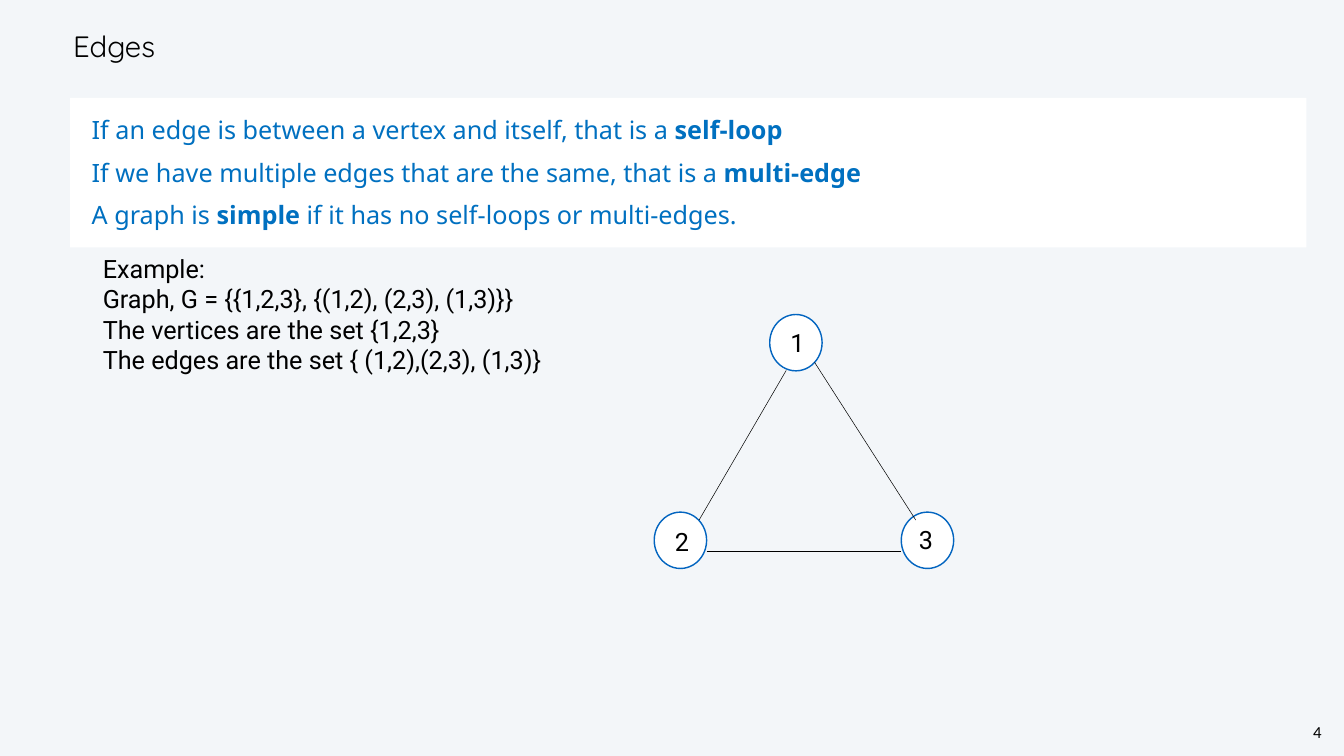
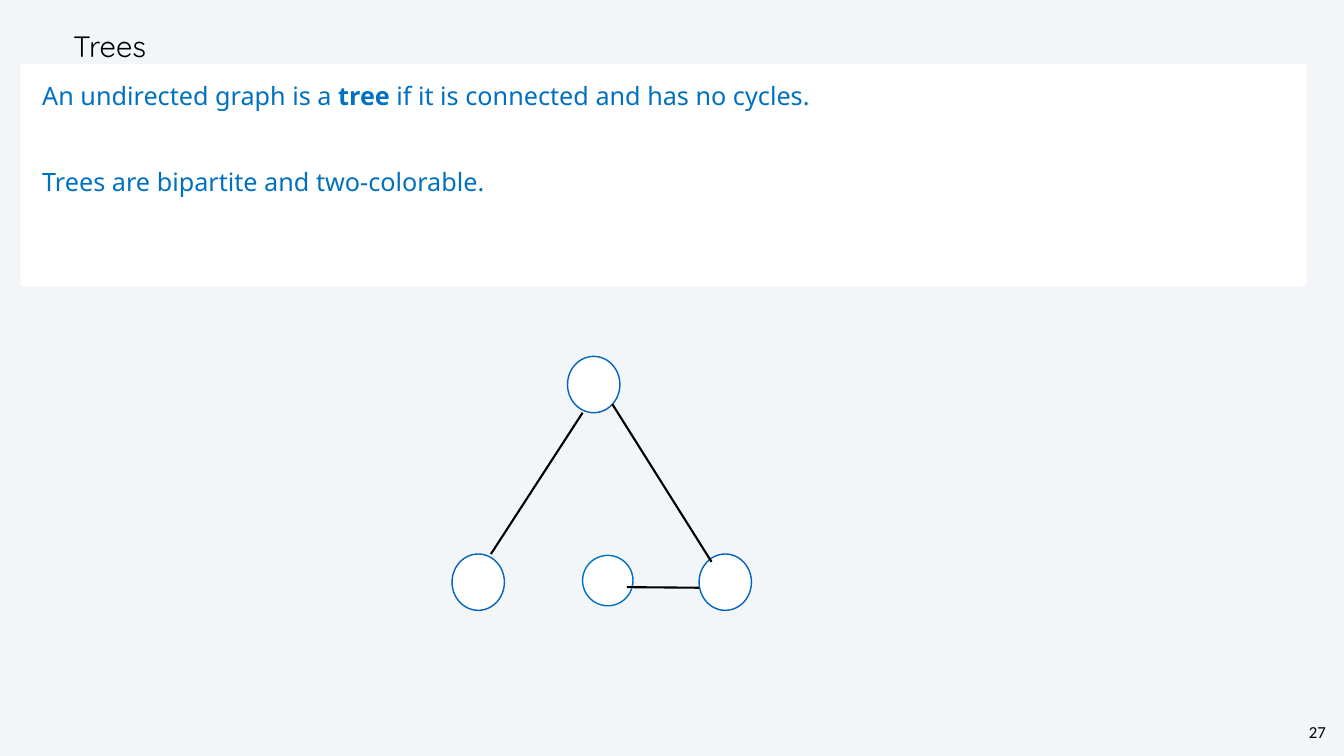
from pptx import Presentation
from pptx.dml.color import RGBColor
from pptx.enum.shapes import MSO_CONNECTOR, MSO_SHAPE
from pptx.enum.text import MSO_ANCHOR, MSO_AUTO_SIZE, PP_ALIGN
from pptx.oxml.ns import qn
from pptx.util import Cm, Pt
from lxml.etree import SubElement

BLACK, WHITE, PALE = "000000", "FFFFFF", "F3F6F9"
BLUE, RING = "0070C0", "0365C0"

# Text styles
HEAD = dict(name="Quicksand", size=Pt(42))
RULE = dict(name="Noto Sans", size=Pt(36))
PLAIN = dict(name="Roboto", size=Pt(36))
SMALL = dict(name="Calibri", size=Pt(24))

# Nodes of the triangle, each with the offset of its label
TOP, LEFT, RIGHT = (5.82, 0), (0, 9.96), (12.45, 9.96)
NODE = (2.64, 2.84)
LABELS = [("1", TOP, 0.89, 0.48), ("2", LEFT, 0.89, 0.56),
          ("3", RIGHT, 0.74, 0.46)]


def color(value):
    return RGBColor.from_string(value)


def apply(item, style):
    for key, value in style.items():
        setattr(item, key, value)


def cms(*values):
    return [Cm(v) for v in values]


def frame(shape, inset=None, **style):
    """Set wrap, anchor, size mode and equal margins of a text frame."""
    text = shape.text_frame
    base = dict(word_wrap=True, vertical_anchor=MSO_ANCHOR.TOP,
                auto_size=MSO_AUTO_SIZE.NONE)
    apply(text, {**base, **style})
    if inset is not None:
        sides = ("left", "top", "right", "bottom")
        apply(text, {f"margin_{side}": Cm(inset) for side in sides})
    return text


def write(text, lines, font, hue=BLACK, **style):
    """Fill paragraphs; words between ** marks are bold."""
    for i, line in enumerate(lines):
        para = text.paragraphs[0] if i == 0 else text.add_paragraph()
        apply(para, {"alignment": PP_ALIGN.LEFT, **style})
        for j, part in enumerate(line.split("**")):
            run = para.add_run()
            run.text = part
            apply(run.font, {**font, "bold": j % 2 == 1})
            run.font.color.rgb = color(hue)


def shape(shapes, kind, box, line=None):
    item = shapes.add_shape(kind, *cms(*box))
    item.shadow.inherit = False
    item.fill.solid()
    item.fill.fore_color.rgb = color(WHITE)
    if line:
        item.line.color.rgb = color(line)
        item.line.width = Pt(2)
    else:
        item.line.fill.background()
    return item


def base(deck, title, number):
    """Background, title and page number."""
    slide = deck.slides.add_slide(deck.slide_layouts[5])
    slide.background.fill.solid()
    slide.background.fill.fore_color.rgb = color(PALE)

    head = slide.shapes.title
    apply(head, dict(zip(("left", "top", "width", "height"),
                         cms(3.53, 1.07, 57.45, 2.51))))
    text = frame(head, 0.15, vertical_anchor=MSO_ANCHOR.MIDDLE)
    write(text, [title], HEAD, line_spacing=Pt(50), space_before=Pt(3))

    page = slide.shapes.add_textbox(*cms(65.84, 36.3, 1.09, 1.19))
    text = frame(page, 0.1, word_wrap=False,
                 auto_size=MSO_AUTO_SIZE.SHAPE_TO_FIT_TEXT)
    write(text, [str(number)], SMALL, alignment=PP_ALIGN.CENTER,
          line_spacing=Pt(28))
    return slide


def panel(slide, box, lines, gap=18):
    """White band with blue rules, gap points apart."""
    text = frame(shape(slide.shapes, MSO_SHAPE.RECTANGLE, box), 0.84)
    write(text, lines, RULE, BLUE, line_spacing=Pt(43), space_before=Pt(18))
    for para in text.paragraphs:
        para._p.get_or_add_pPr().set("indent", str(Cm(0.25)))
    for para in text.paragraphs[1:]:
        para.space_before = Pt(gap)


def notes(slide, box, lines):
    """Plain text of the example."""
    item = slide.shapes.add_textbox(*cms(*box))
    text = frame(item, auto_size=MSO_AUTO_SIZE.SHAPE_TO_FIT_TEXT)
    write(text, lines, PLAIN)


def graph(shapes, x, y, edges, width, labels=(), extra=None):
    """Triangle of nodes with edges, placed from its top left corner."""
    for dx, dy in (TOP, LEFT, RIGHT):
        shape(shapes, MSO_SHAPE.OVAL, (x + dx, y + dy, *NODE), RING)
    if extra:
        dx, dy, size = extra
        shape(shapes, MSO_SHAPE.OVAL, (x + dx, y + dy, size, size), BLUE)
    for x1, y1, x2, y2 in edges:
        edge = shapes.add_connector(MSO_CONNECTOR.STRAIGHT,
                                    *cms(x + x1, y + y1, x + x2, y + y2))
        edge.line.color.rgb = color(BLACK)
        edge.line.width = Pt(width)
        SubElement(edge._element.spPr, qn("a:effectLst"))
    for label, (dx, dy), right, down in labels:
        item = shapes.add_textbox(
            *cms(x + dx + right, y + dy + down, 2.74, 1.83))
        text = frame(item, 0.15, vertical_anchor=MSO_ANCHOR.MIDDLE,
                     auto_size=MSO_AUTO_SIZE.SHAPE_TO_FIT_TEXT)
        write(text, [label], PLAIN)


def edges(deck):
    slide = base(deck, "Edges", 4)
    panel(slide, (3.53, 4.93, 62.31, 7.54), [
        "If an edge is between a vertex and itself, that is a **self-loop**",
        "If we have multiple edges that are the same, that is a **multi-edge**",
        "A graph is **simple **if it has no self-loops or multi-edges."])
    notes(slide, (4.93, 12.65, 33.86, 6.4), [
        "Example:",
        "Graph, G = {{1,2,3}, {(1,2), (2,3), (1,3)}}",
        "The vertices are the set {1,2,3}",
        "The edges are the set { (1,2),(2,3), (1,3)}"])
    graph(slide.shapes, 32.97, 15.85, [
        (6.65, 2.82, 2.26, 10.36),
        (2.64, 11.94, 12.45, 11.94),
        (8.08, 2.41, 13.18, 10.36)], 0.75, LABELS)


def trees(deck):
    slide = base(deck, "Trees", 27)
    panel(slide, (1.04, 3.23, 64.8, 11.2), [
        "An undirected graph is a **tree** if it is connected"
        " and has no cycles.",
        "Trees are bipartite and two-colorable."], gap=79)
    group = slide.shapes.add_group_shape()
    graph(group.shapes, 22.78, 17.96, [
        (6.58, 2.84, 1.96, 9.96),
        (8.08, 2.41, 13.08, 10.36),
        (8.81, 11.63, 12.45, 11.66)], 3, extra=(6.58, 10.03, 2.54))


deck = Presentation()
deck.slide_width, deck.slide_height = cms(67.73, 38.1)
edges(deck)
trees(deck)
deck.save("out.pptx")
